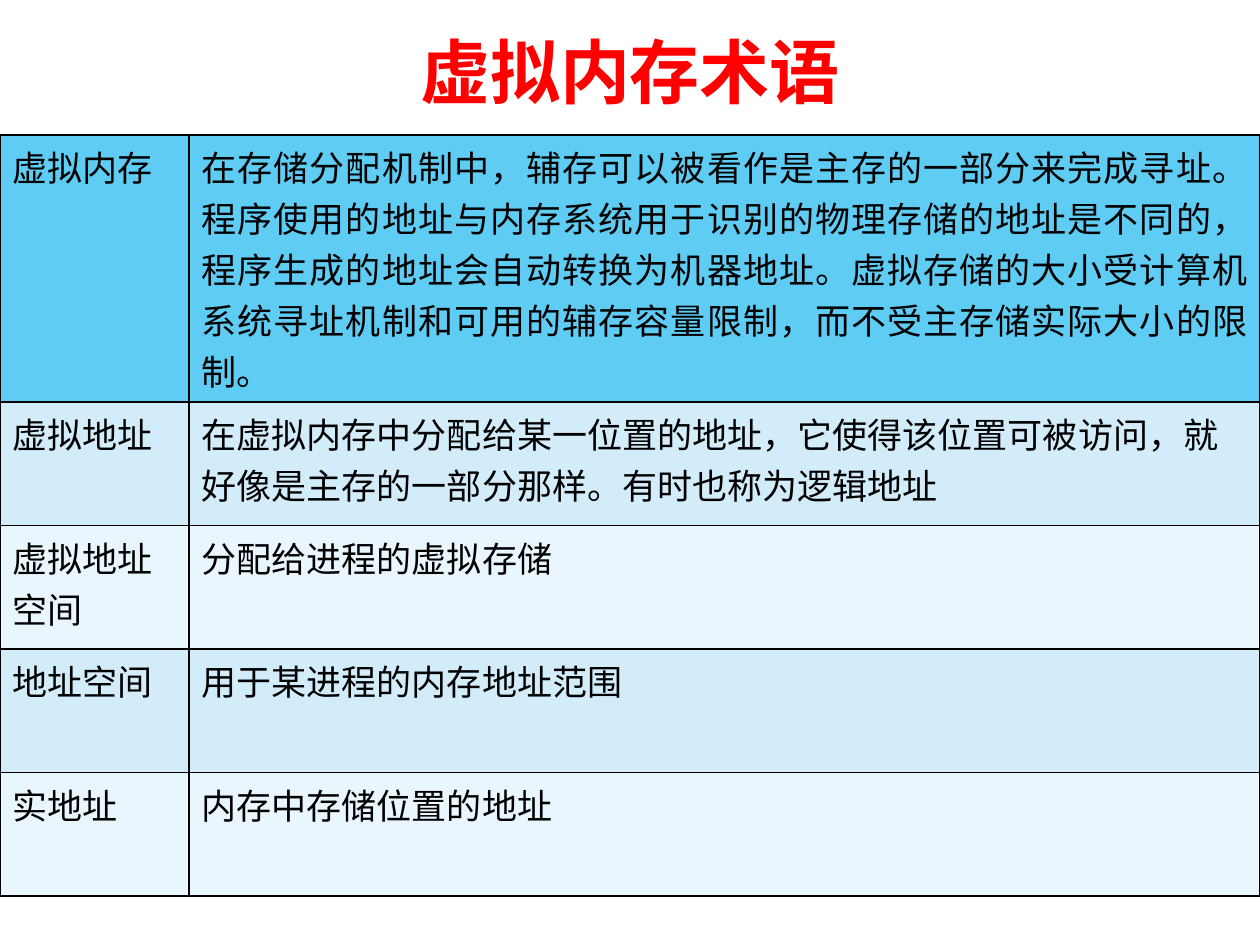
from pptx import Presentation
from pptx.dml.color import RGBColor
from pptx.enum.text import MSO_ANCHOR as Anchor, PP_ALIGN as Align
from pptx.oxml import parse_xml
from pptx.oxml.ns import nsdecls
from pptx.util import Inches, Pt

WIDTH, HEIGHT = 10, 7.5
COLS = (0.15, 0.85)
HEAD_ROW, BODY_ROW = 2.12, 0.98
COLORS = {"title": "FF0000", "text": "000000", "line": "000000",
          "head": "5ECCF3", "odd": "D2ECFA", "even": "EAF6FD"}
TERMS = [
    ("虚拟内存", "在存储分配机制中，辅存可以被看作是主存的一部分来完成寻址。"
     "程序使用的地址与内存系统用于识别的物理存储的地址是不同的，"
     "程序生成的地址会自动转换为机器地址。"
     "虚拟存储的大小受计算机系统寻址机制和可用的辅存容量限制，"
     "而不受主存储实际大小的限制。"),
    ("虚拟地址", "在虚拟内存中分配给某一位置的地址，它使得该位置可被访问，"
     "就好像是主存的一部分那样。有时也称为逻辑地址"),
    ("虚拟地址空间", "分配给进程的虚拟存储"),
    ("地址空间", "用于某进程的内存地址范围"),
    ("实地址", "内存中存储位置的地址"),
]


def write(tf, text, size=20, color="text", bold=False, align=Align.LEFT):
    """Put one formatted paragraph into a text frame."""
    tf.word_wrap = True
    p = tf.paragraphs[0]
    p.alignment = align
    r = p.add_run()
    r.text = text
    r.font.name = "Arial"
    r.font.size = Pt(size)
    r.font.bold = bold
    r.font.color.rgb = RGBColor.from_string(COLORS[color])


def add_title(s, text):
    """Add the centred slide title."""
    sp = s.shapes.add_textbox(Inches(WIDTH * 0.05), Inches(0.05),
                              Inches(WIDTH * 0.9), Inches(1.02))
    sp.text_frame.vertical_anchor = Anchor.MIDDLE
    write(sp.text_frame, text, size=40, color="title", bold=True, align=Align.CENTER)


def style_cell(cell, fill):
    """Fill a cell and rule its four sides."""
    tcPr = cell._tc.get_or_add_tcPr()
    for side in ("lnL", "lnR", "lnT", "lnB"):
        tcPr.append(parse_xml(
            f'<a:{side} {nsdecls("a")} w="{Pt(1)}"><a:solidFill>'
            f'<a:srgbClr val="{COLORS["line"]}"/></a:solidFill></a:{side}>'))
    cell.fill.solid()
    cell.fill.fore_color.rgb = RGBColor.from_string(COLORS[fill])


def add_terms(s, terms):
    """Add the full-width table of terms and definitions."""
    heights = [HEAD_ROW] + [BODY_ROW] * (len(terms) - 1)
    table = s.shapes.add_table(len(terms), len(COLS), 0, Inches(1.07),
                               Inches(WIDTH), Inches(sum(heights))).table
    for col, share in zip(table.columns, COLS):
        col.width = Inches(WIDTH * share)
    for i, (row, height, texts) in enumerate(zip(table.rows, heights, terms)):
        row.height = Inches(height)
        fill = "head" if i == 0 else "odd" if i % 2 else "even"
        for j, (cell, text) in enumerate(zip(row.cells, texts)):
            align = Align.JUSTIFY if (i, j) == (0, 1) else Align.LEFT
            write(cell.text_frame, text, align=align)
            style_cell(cell, fill)


def main():
    """Build and save the slide."""
    prs = Presentation()
    prs.slide_width, prs.slide_height = Inches(WIDTH), Inches(HEIGHT)
    s = prs.slides.add_slide(prs.slide_layouts[6])
    add_title(s, "虚拟内存术语")
    add_terms(s, TERMS)
    prs.save("out.pptx")


if __name__ == "__main__":
    main()
